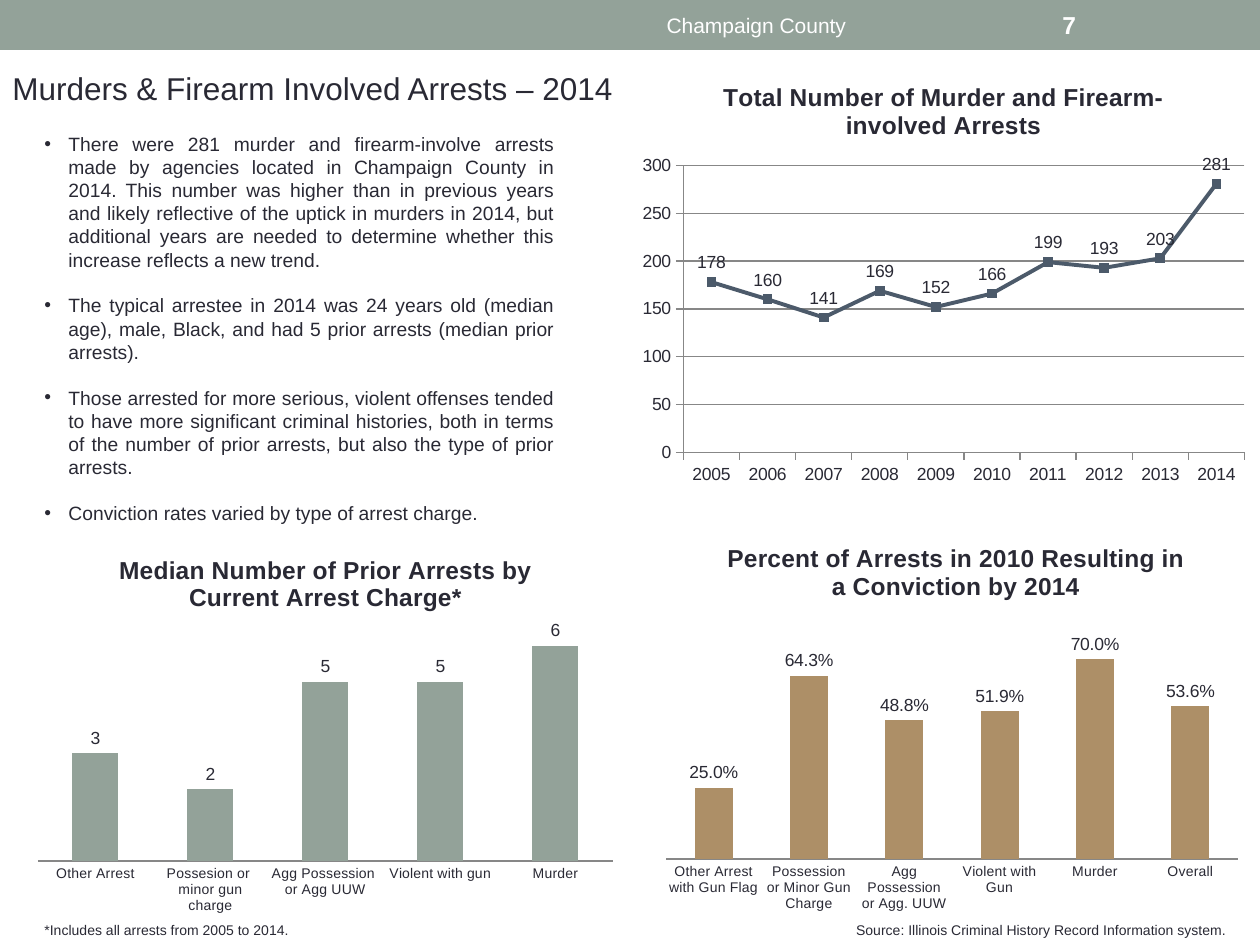
from lxml import etree
from pptx import Presentation
from pptx.chart.data import CategoryChartData
from pptx.dml.color import RGBColor
from pptx.enum.chart import XL_CHART_TYPE, XL_LABEL_POSITION, XL_MARKER_STYLE, XL_TICK_MARK
from pptx.enum.shapes import MSO_SHAPE
from pptx.enum.text import MSO_ANCHOR, PP_ALIGN
from pptx.oxml.ns import qn
from pptx.util import Emu, Pt

LINE, COLUMN = XL_CHART_TYPE.LINE_MARKERS, XL_CHART_TYPE.COLUMN_CLUSTERED
ABOVE, OUTSIDE = XL_LABEL_POSITION.ABOVE, XL_LABEL_POSITION.OUTSIDE_END
SQUARE = XL_MARKER_STYLE.SQUARE
TICK_NONE, TICK_OUT = XL_TICK_MARK.NONE, XL_TICK_MARK.OUTSIDE
LEFT, CENTER, RIGHT, JUSTIFY = PP_ALIGN.LEFT, PP_ALIGN.CENTER, PP_ALIGN.RIGHT, PP_ALIGN.JUSTIFY
TOP, MIDDLE = MSO_ANCHOR.TOP, MSO_ANCHOR.MIDDLE

SAGE = RGBColor(0x93, 0xA2, 0x99)
TAN = RGBColor(0xAD, 0x8F, 0x67)
BROWN = RGBColor(0x72, 0x60, 0x56)
SLATE = RGBColor(0x4C, 0x5A, 0x6A)
STEEL = RGBColor(0x80, 0x8D, 0xA0)
RUST = RGBColor(0x79, 0x46, 0x3D)
INK = RGBColor(0x29, 0x29, 0x34)
GRAY = RGBColor(0x87, 0x87, 0x87)
WHITE = RGBColor(0xFF, 0xFF, 0xFF)
PALETTE = [SAGE, TAN, BROWN, SLATE, STEEL, RUST]
FONT = "Arial"
PX_PER_INCH = 126

# Content: boxes are left, top, width, height in px
BAND = (0, 0, 1260, 50)
# text, box, size, colour, bold, alignment, anchor
LABELS = [
    ("Champaign County", (473, 2, 567, 46), 12, WHITE, False, CENTER, MIDDLE),
    ("7", (1050, 2, 147, 46), 14, WHITE, True, LEFT, MIDDLE),
    ("Murders & Firearm Involved Arrests – 2014", (0, 63, 630, 50), 18, INK, False, LEFT, TOP),
    ("Source: Illinois Criminal History Record Information system.",
     (756, 915, 483, 30), 8, INK, False, RIGHT, TOP),
    ("*Includes all arrests from 2005 to 2014.", (32, 915, 483, 30), 8, INK, False, LEFT, TOP),
]
FINDINGS_BOX = (32, 126, 535, 410)
FINDINGS = [
    "There were 281 murder and firearm-involve arrests made by agencies located in "
    "Champaign County in 2014. This number was higher than in previous years and likely "
    "reflective of the uptick in murders in 2014, but additional years are needed to "
    "determine whether this increase reflects a new trend.",
    "The typical arrestee in 2014 was 24 years old (median age), male, Black, and had "
    "5 prior arrests (median prior arrests).",
    "Those arrested for more serious, violent offenses tended to have more significant "
    "criminal histories, both in terms of the number of prior arrests, but also the type "
    "of prior arrests.",
    "Conviction rates varied by type of arrest charge.",
]
# The last series of a chart holds its values; "plot" and "title_at" are px inside the box
CHARTS = [
    dict(kind=LINE, box=(630, 62, 627, 431), series=10, fmt="###0", top=300, step=50,
         title="Total Number of Murder and Firearm-involved Arrests",
         data=[(str(2005 + i), n) for i, n in enumerate(
             (178, 160, 141, 169, 152, 166, 199, 193, 203, 281))]),
    dict(kind=COLUMN, box=(650, 504, 605, 416), series=1, color=TAN, fmt="###0.0%",
         top=0.8, step=0.1, plot=(16, 127, 572, 228), title_at=(73, 34),
         title="Percent of Arrests in 2010 Resulting in a Conviction by 2014",
         data=[("Other Arrest with Gun Flag", 0.25), ("Possession or Minor Gun Charge", 0.643),
               ("Agg Possession or Agg. UUW", 0.488), ("Violent with Gun", 0.519),
               ("Murder", 0.7), ("Overall", 0.536)]),
    dict(kind=COLUMN, box=(21, 535, 609, 394), series=1, color=SAGE, fmt="#,##0",
         top=7, step=1, plot=(17, 75, 575, 251),
         title="Median Number of Prior Arrests by Current Arrest Charge*",
         data=[("Other Arrest", 3), ("Possesion or \nminor gun charge", 2),
               ("Agg Possession \nor Agg UUW", 5), ("Violent with gun", 5), ("Murder", 6)]),
]


def px(n):
    return Emu(round(n * 914400 / PX_PER_INCH))


def style(font, size, color=INK, bold=False):
    font.name, font.size, font.bold = FONT, Pt(size), bold
    font.color.rgb = color


def add_text(slide, box, paragraphs, size, color, bold, align, anchor):
    frame = slide.shapes.add_textbox(*map(px, box)).text_frame
    frame.word_wrap = True
    frame.vertical_anchor = anchor
    frame.text = "\n".join(paragraphs)
    for paragraph in frame.paragraphs:
        paragraph.alignment = align
        style(paragraph.runs[0].font, size, color, bold)
    return frame


def add_bullet(paragraph):
    props = paragraph._p.get_or_add_pPr()
    props.set("marL", str(px(24)))
    props.set("indent", str(-px(24)))
    etree.SubElement(props, qn("a:buFont")).set("typeface", FONT)
    etree.SubElement(props, qn("a:buChar")).set("char", "•")


def place(chart, part, position, box, index, **target):
    """Fix the plot area or title at px offsets inside the chart box."""
    parent = chart.element.find(".//" + qn(part))
    for old in parent.findall(qn("c:layout")):
        parent.remove(old)
    layout = etree.Element(qn("c:layout"))
    manual = etree.SubElement(layout, qn("c:manualLayout"))
    sizes = (box[2], box[3]) * 2
    fractions = {key: n / size for key, n, size in zip("xywh", position, sizes)}
    for tag, value in dict(target, xMode="edge", yMode="edge", **fractions).items():
        etree.SubElement(manual, qn("c:" + tag)).set("val", str(value))
    parent.insert(index, layout)


def add_chart(slide, item):
    data = CategoryChartData()
    data.categories = [category for category, _ in item["data"]]
    for number in range(1, item["series"] + 1):
        filled = number == item["series"]
        data.add_series(f"Series {number}", [n if filled else None for _, n in item["data"]])
    chart = slide.shapes.add_chart(item["kind"], *map(px, item["box"]), data).chart
    style(chart.font, 10)
    chart.has_legend = False
    chart.has_title = True
    chart.chart_title.text_frame.text = item["title"]
    style(chart.chart_title.text_frame.paragraphs[0].runs[0].font, 14, bold=True)

    is_line = item["kind"] == LINE
    categories, values = chart.category_axis, chart.value_axis
    categories.major_tick_mark = values.major_tick_mark = TICK_OUT if is_line else TICK_NONE
    values.minimum_scale, values.maximum_scale = 0, item["top"]
    values.major_unit = item["step"]
    values.has_major_gridlines = values.visible = is_line
    categories.format.line.color.rgb = GRAY
    style(categories.tick_labels.font, 10 if is_line else 8)

    plot = chart.plots[0]
    plot.vary_by_categories = False
    labels = plot.series[-1].data_labels
    labels.show_value = True
    labels.number_format, labels.number_format_is_linked = item["fmt"], False
    labels.position = ABOVE if is_line else OUTSIDE
    style(labels.font, 10)

    if is_line:
        for i, series in enumerate(plot.series):
            color = PALETTE[i % len(PALETTE)]
            series.smooth = False
            series.format.line.color.rgb = color
            series.format.line.width = Pt(2.25)
            marker = series.marker
            marker.style, marker.size = SQUARE, 5
            marker.format.fill.solid()
            marker.format.fill.fore_color.rgb = color
            marker.format.line.color.rgb = color
        values.format.line.color.rgb = GRAY
        values.major_gridlines.format.line.color.rgb = GRAY
    else:
        fill = plot.series[0].format.fill
        fill.solid()
        fill.fore_color.rgb = item["color"]
        plot.gap_width, plot.overlap = 150, -25
        place(chart, "c:plotArea", item["plot"], item["box"], 0, layoutTarget="inner")
    if "title_at" in item:
        place(chart, "c:title", item["title_at"], item["box"], 1)


def main():
    deck = Presentation()
    deck.slide_width, deck.slide_height = px(1260), px(945)
    slide = deck.slides.add_slide(deck.slide_layouts[6])

    # Header band
    band = slide.shapes.add_shape(MSO_SHAPE.RECTANGLE, *map(px, BAND))
    band.shadow.inherit = False
    band.fill.solid()
    band.fill.fore_color.rgb = SAGE
    band.line.fill.background()

    # Header, title and footnotes
    for text, box, *look in LABELS:
        add_text(slide, box, [text], *look)

    # Findings
    findings = add_text(slide, FINDINGS_BOX, FINDINGS, 11, INK, False, JUSTIFY, TOP)
    for paragraph in findings.paragraphs:
        paragraph.space_after = Pt(13)
        add_bullet(paragraph)

    # Charts
    for item in CHARTS:
        add_chart(slide, item)

    deck.save("out.pptx")


if __name__ == "__main__":
    main()
